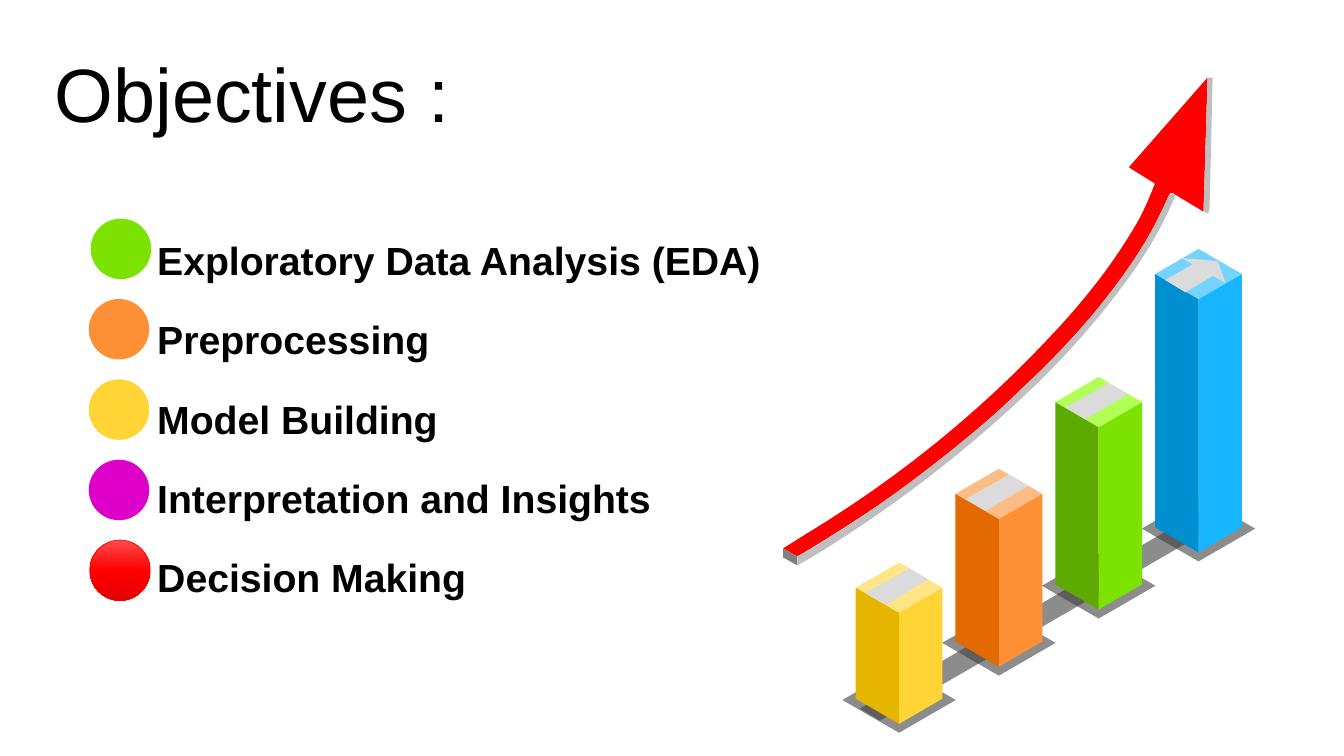
"""Build the objectives slide: a dotted list beside a rising isometric bar drawing."""
from copy import deepcopy
from dataclasses import dataclass

from lxml.etree import SubElement
from pptx import Presentation
from pptx.dml.color import RGBColor
from pptx.enum.shapes import MSO_SHAPE
from pptx.enum.text import MSO_ANCHOR, MSO_AUTO_SIZE, PP_ALIGN
from pptx.oxml.ns import qn
from pptx.util import Pt


@dataclass(frozen=True)
class Theme:
    font: str = "Arial"
    title_size: int = 54
    item_size: int = 28
    text: str = "000000"
    red: str = "FF0000"
    red_shades: tuple = ("FF4B4B", "FF0000", "E30000")
    magenta: str = "DC00C8"
    yellow: tuple = ("FFE585", "E6B500", "FFD434")
    orange: tuple = ("FEBC85", "E36902", "FD9034")
    green: tuple = ("B2FF55", "5DAA00", "7CE200")
    blue: tuple = ("74D3FF", "008FD0", "17B6FF")
    mark: str = "DBDBDB"
    arrow_edge: str = "BFBFBF"
    arrow_end: str = "808080"
    shadow: str = "404040"
    shadow_alpha: str = "60000"


T = Theme()


def draw_outline(shapes, segments, color, x=0, y=0):
    """Draw a closed outline of line ends (2 values) and cubic curves (6 values)."""
    points = [segments[0]]
    for seg in segments[1:]:
        if len(seg) == 2:
            points.append(seg)
            continue
        x0, y0 = points[-1]
        x1, y1, x2, y2, x3, y3 = seg
        for step in range(1, 13):
            t = step / 12
            a, b, c, d = (1 - t) ** 3, 3 * t * (1 - t) ** 2, 3 * t * t * (1 - t), t ** 3
            points.append((a * x0 + b * x1 + c * x2 + d * x3,
                           a * y0 + b * y1 + c * y2 + d * y3))
    placed = [(Pt(x + px), Pt(y + py)) for px, py in points]
    builder = shapes.build_freeform(*placed[0], scale=1.0)
    builder.add_line_segments(placed[1:], close=True)
    sp = builder.convert_to_shape()
    sp.shadow.inherit = False
    sp.fill.solid()
    sp.fill.fore_color.rgb = RGBColor.from_string(color)
    sp.line.fill.background()
    return sp


def write_text(holder, box, lines, size, bold, gap):
    """Place a text placeholder and fill it with plain left-aligned lines."""
    holder.left, holder.top, holder.width, holder.height = [Pt(v) for v in box]
    tf = holder.text_frame
    tf.word_wrap = True
    tf.auto_size = MSO_AUTO_SIZE.NONE
    tf.vertical_anchor = MSO_ANCHOR.TOP
    tf.margin_left = tf.margin_top = tf.margin_right = tf.margin_bottom = 0
    for i, line in enumerate(lines):
        p = tf.paragraphs[0] if i == 0 else tf.add_paragraph()
        p.alignment = PP_ALIGN.LEFT
        p.line_spacing = 1.0
        p.space_before, p.space_after = Pt(0), Pt(gap)
        pPr = p._p.get_or_add_pPr()
        pPr.set("marL", "0")
        pPr.set("indent", "0")
        SubElement(pPr, qn("a:buNone"))
        r = p.add_run()
        r.text = line
        r.font.name, r.font.size, r.font.bold = T.font, Pt(size), bold
        r.font.color.rgb = RGBColor.from_string(T.text)


prs = Presentation()
prs.slide_width, prs.slide_height = Pt(960), Pt(540)
slide = prs.slides.add_slide(prs.slide_layouts[1])
shapes = slide.shapes

OBJECTIVES = [
    ("Exploratory Data Analysis (EDA)", 64.8, T.green[2]),
    ("Preprocessing", 63.4, T.orange[2]),
    ("Model Building", 63.4, T.yellow[2]),
    ("Interpretation and Insights", 63.4, T.magenta),
    ("Decision Making", 64.1, None),
]
write_text(shapes.title, (39, 33.4, 498, 64), ["Objectives :"], T.title_size, False, 0)
write_text(slide.placeholders[1], (112.3, 168.6, 450, 275),
           [name for name, _, _ in OBJECTIVES], T.item_size, True, 23.1)

for i, (_, left, color) in enumerate(OBJECTIVES):
    dot = shapes.add_shape(MSO_SHAPE.OVAL, Pt(left), Pt(156.2 + 57.4 * i), Pt(43.2), Pt(43.2))
    dot.shadow.inherit = False
    if color:
        dot.fill.solid()
        dot.fill.fore_color.rgb = RGBColor.from_string(color)
        dot.line.fill.background()
    else:
        dot.fill.gradient()
        dot.fill.gradient_angle = 270
        stop_list = dot._element.spPr.find(".//" + qn("a:gsLst"))
        stop_list.append(deepcopy(stop_list[0]))
        for stop, shade, position in zip(dot.fill.gradient_stops, T.red_shades, (0, 0.5, 1)):
            stop.color.rgb = RGBColor.from_string(shade)
            stop.position = position
        dot.line.color.rgb = RGBColor.from_string(T.red)
        dot.line.width = Pt(0.5)

STRIPE = [(20.9, 12.2), (-9.4, 30.2), (-23.8, 21.6), (7.2, 4.3)]
ARROW_STEM = [(13.7, 17.3), (-9.4, 31), (-23.8, 22.3), (0, 8.6)]
ARROW_TIP = [(13.7, 8.6), (19.4, 24.5), (-12.2, 6.5)]
BARS = [
    (401.8, T.yellow, [STRIPE]),
    (334.8, T.orange, [STRIPE]),
    (269.3, T.green, [STRIPE]),
    (177.8, T.blue, [ARROW_STEM, ARROW_TIP]),
]
FIRST_X, STEP_X, FIRST_FOOT, STEP_FOOT = 642.2, 71.3, 517, -40.8
HALF, DEPTH = 31, 18

BASE = [(40.5, -17), (0, 6.4), (-40.5, -17), (0, -40.4)]
WALKWAY = [(883.4, 367.2), (628.6, 514.8), (614.2, 506.2), (869, 358.6)]
shadows = [draw_outline(shapes, BASE, T.shadow, FIRST_X + STEP_X * i, FIRST_FOOT + STEP_FOOT * i)
           for i in range(len(BARS))]
shadows.append(draw_outline(shapes, WALKWAY, T.shadow))
for sp in shadows:
    rgb = sp._element.spPr.find(qn("a:solidFill"))[0]
    SubElement(rgb, qn("a:alpha")).set("val", T.shadow_alpha)

for i, (top, (lid, left_side, right_side), marks) in enumerate(BARS):
    x = FIRST_X + STEP_X * i
    height = FIRST_FOOT + STEP_FOOT * i - top
    draw_outline(shapes, [(HALF, DEPTH), (0, 2 * DEPTH), (-HALF, DEPTH), (0, 0)], lid, x, top)
    for side, color in ((-HALF, left_side), (HALF, right_side)):
        draw_outline(shapes, [(0, height), (side, height - DEPTH), (side, DEPTH), (0, 2 * DEPTH)],
                     color, x, top)
    for mark in marks:
        draw_outline(shapes, mark, T.mark, x, top)

ARROW = [
    (559.4, 391.7),
    (565.2, 388.1, 571, 384.5, 576.7, 380.9),
    (640.8, 342, 699.1, 295.2, 750.2, 240.5),
    (774.7, 214.6, 797, 186.5, 814.3, 155.5),
    (817.9, 148.3, 821.5, 140.4, 824.4, 132.5),
    (825.1, 131.8, 825.1, 131, 823.7, 130.3),
    (806.4, 119.5), (862.6, 55.4), (859.7, 151.2), (838.1, 138.2),
    (836.6, 137.5, 835.9, 137.5, 834.5, 140.4),
    (826.6, 158.4, 816.5, 177.1, 805, 193.7),
    (795.6, 205.9, 786.2, 218.9, 776.2, 230.4),
    (770.4, 236.9, 748.8, 259.9, 743.8, 265),
    (730.8, 277.9, 717.1, 290.2, 703.4, 302.4),
    (685.4, 318.2, 666.7, 332.6, 647.3, 347),
    (625.7, 362.9, 582.5, 390.2, 569.5, 397.4),
]
SHAFT_EDGE = [
    (569.5, 397.4),
    (574.6, 394.6, 577.4, 393.1, 581, 391),
    (614.9, 370.8, 646.6, 347.8, 677.5, 323.3),
    (695.5, 308.9, 713.5, 293.8, 730.1, 277.2),
    (748.1, 260.6, 764.6, 243.4, 780.5, 224.6),
    (800.6, 200.2, 819.4, 174.2, 832.3, 145.4),
    (834.5, 140.4), (838.1, 138.2), (839.5, 139.7),
    (831.6, 159.1, 820.8, 177.8, 808.6, 195.1),
    (786.2, 226.8, 760.3, 255.6, 732.2, 282.2),
    (685.4, 326.2, 634.3, 365, 579.6, 398.2),
    (569.5, 403.9),
]
HEAD_EDGE = [(859.7, 151.2), (862.6, 55.4), (866.2, 55.4), (864, 149), (863, 152.5)]
TAIL_END = [(569.5, 403.9), (559.4, 398.2), (559.4, 391.7), (569.5, 397.4)]
for outline, color in ((ARROW, T.red), (SHAFT_EDGE, T.arrow_edge),
                       (HEAD_EDGE, T.arrow_edge), (TAIL_END, T.arrow_end)):
    draw_outline(shapes, outline, color)

prs.save("out.pptx")
